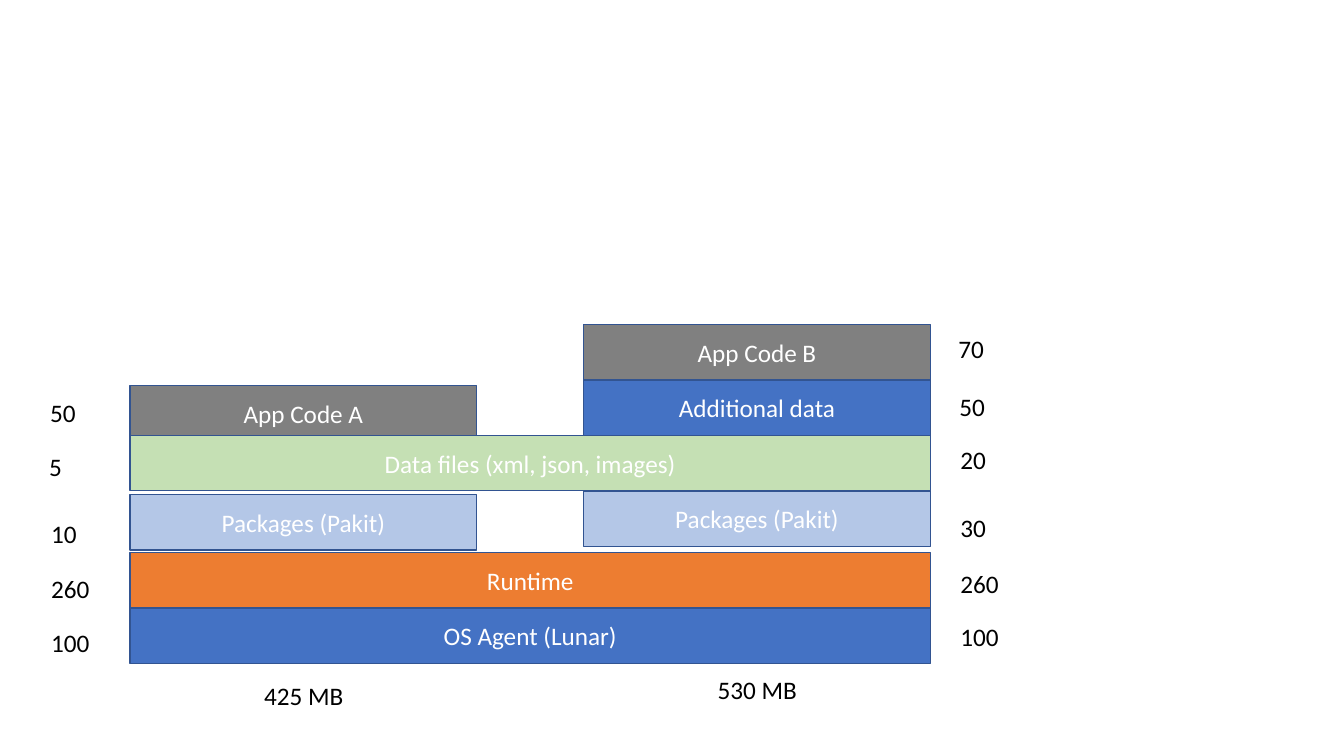
from pptx import Presentation
from pptx.dml.color import RGBColor
from pptx.enum.shapes import MSO_SHAPE
from pptx.enum.text import MSO_ANCHOR, MSO_AUTO_SIZE, PP_ALIGN
from pptx.util import Pt

FONT = "Calibri"
BLUE, ORANGE, PALE_BLUE = "4472C4", "ED7D31", "B4C7E7"
GRAY, GREEN, OUTLINE = "808080", "C5E0B4", "325491"
WHITE, BLACK = "FFFFFF", "000000"

LEFT_STACK, RIGHT_STACK = 92.9, 416.9
STACK_WIDTH, FULL_WIDTH = 247.7, 571.7
LAYER_HEIGHT = 39.6
LABEL_HEIGHT = 29.1
SIZE_WIDTH, TOTAL_WIDTH = 52.6, 95

# Text, left, top, width, fill; from back to front
LAYERS = [
    ("OS Agent (Lunar)", LEFT_STACK, 434.2, FULL_WIDTH, BLUE),
    ("Runtime", LEFT_STACK, 394.6, FULL_WIDTH, ORANGE),
    ("Packages (Pakit)", LEFT_STACK, 353.3, STACK_WIDTH, PALE_BLUE),
    ("App Code A", LEFT_STACK, 275.2, STACK_WIDTH, GRAY),
    ("Packages (Pakit)", RIGHT_STACK, 350.6, STACK_WIDTH, PALE_BLUE),
    ("Data files (xml, json, images)", LEFT_STACK, 311, FULL_WIDTH, GREEN),
    ("App Code B", RIGHT_STACK, 231.8, STACK_WIDTH, GRAY),
    ("Additional data", RIGHT_STACK, 271.4, STACK_WIDTH, BLUE),
]

# Text, left, top
LAYER_SIZES = [
    ("100", 29.5, 444.4), ("260", 29.5, 406.2), ("10", 29.5, 366.8),
    ("5", 28.1, 318.5), ("50", 28.8, 280.2),
    ("100", 679, 440.2), ("260", 679, 402.3), ("30", 679, 362.7),
    ("20", 679, 314), ("50", 678.2, 276.3), ("70", 677.5, 234.4),
]
TOTALS = [("425 MB", 181.6, 482.4), ("530 MB", 505.6, 478.1)]


def color(hex_string):
    """Return the colour for a hex string."""
    return RGBColor.from_string(hex_string)


def write(text_frame, text, text_color, alignment):
    """Write one formatted run into the first paragraph."""
    paragraph = text_frame.paragraphs[0]
    paragraph.alignment = alignment
    run = paragraph.add_run()
    run.text = text
    run.font.name = FONT
    run.font.size = Pt(18)
    run.font.color.rgb = color(text_color)


def add_layer(slide, text, left, top, width, fill):
    """Add one block of the memory stack."""
    shape = slide.shapes.add_shape(
        MSO_SHAPE.RECTANGLE, Pt(left), Pt(top), Pt(width), Pt(LAYER_HEIGHT))
    shape.shadow.inherit = False
    shape.fill.solid()
    shape.fill.fore_color.rgb = color(fill)
    shape.line.color.rgb = color(OUTLINE)
    shape.line.width = Pt(1)
    shape.text_frame.word_wrap = True
    shape.text_frame.vertical_anchor = MSO_ANCHOR.MIDDLE
    write(shape.text_frame, text, WHITE, PP_ALIGN.CENTER)


def add_label(slide, text, left, top, width):
    """Add a text box with a size in megabytes."""
    box = slide.shapes.add_textbox(
        Pt(left), Pt(top), Pt(width), Pt(LABEL_HEIGHT))
    box.text_frame.word_wrap = True
    box.text_frame.auto_size = MSO_AUTO_SIZE.SHAPE_TO_FIT_TEXT
    write(box.text_frame, text, BLACK, PP_ALIGN.LEFT)


def main():
    """Build the slide and save it."""
    presentation = Presentation()
    presentation.slide_width = Pt(960)
    presentation.slide_height = Pt(540)
    slide = presentation.slides.add_slide(presentation.slide_layouts[6])
    for layer in LAYERS:
        add_layer(slide, *layer)
    for size in LAYER_SIZES:
        add_label(slide, *size, SIZE_WIDTH)
    for total in TOTALS:
        add_label(slide, *total, TOTAL_WIDTH)
    presentation.save("out.pptx")


main()
